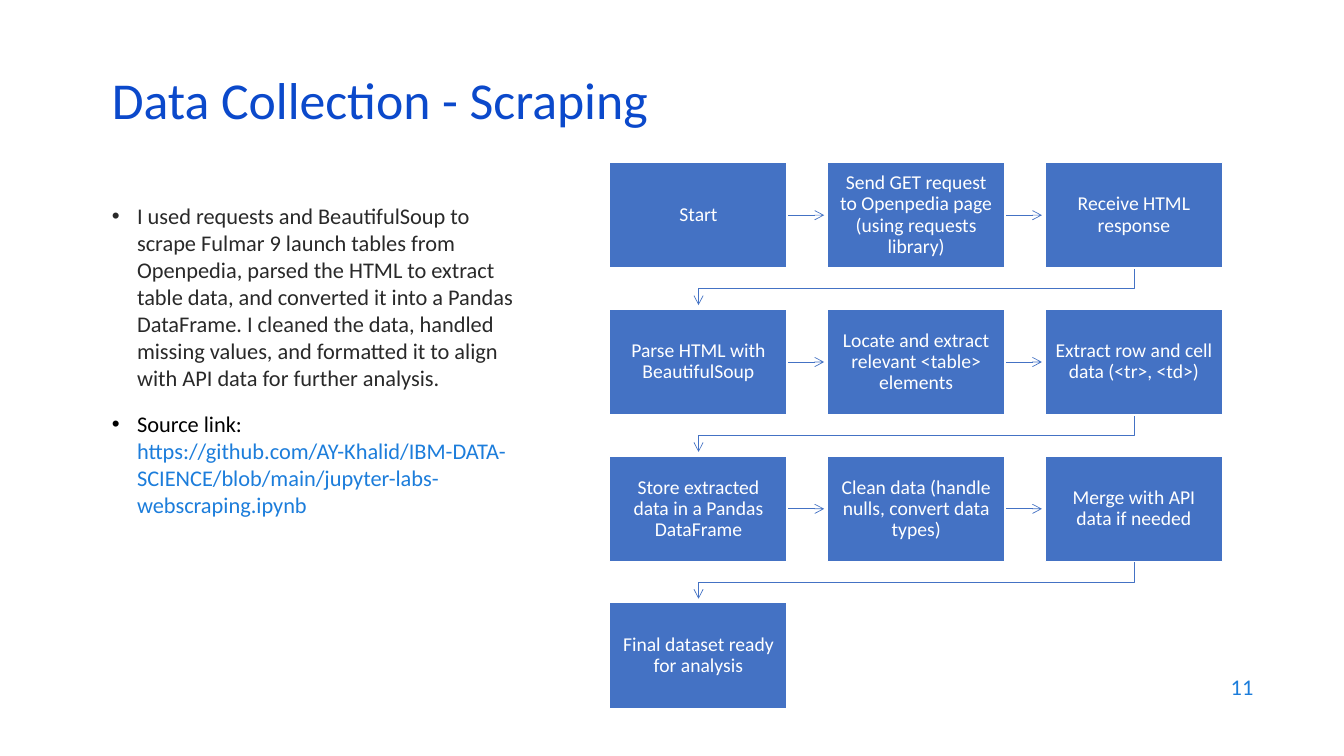
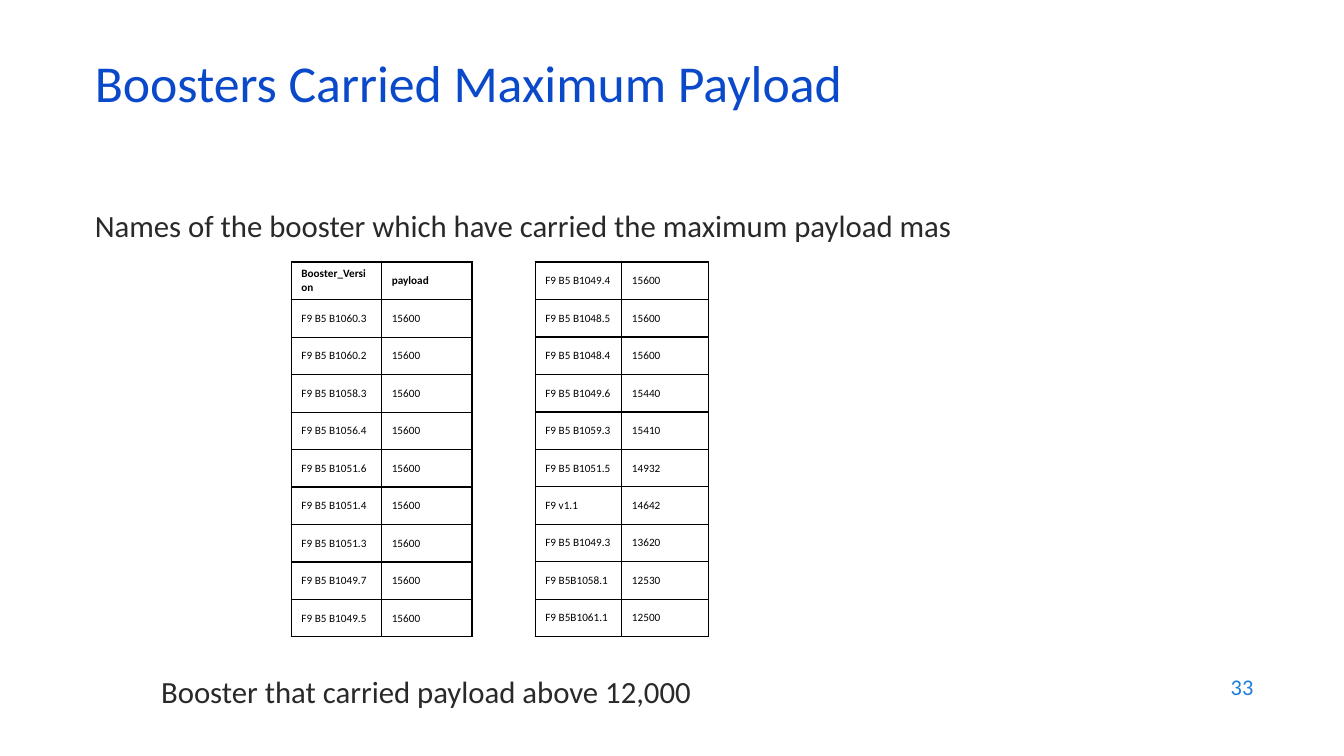
import pptx
import pptx.dml.color
import pptx.enum.shapes
import pptx.enum.text
import pptx.oxml
import pptx.oxml.ns
import pptx.util

RGB = pptx.dml.color.RGBColor
Pt = pptx.util.Pt
ALIGN = pptx.enum.text.PP_ALIGN
ANCHOR = pptx.enum.text.MSO_ANCHOR
NS = pptx.oxml.ns.nsdecls("a")

TITLE_BLUE = RGB(0x0B, 0x49, 0xCB)
LINK_BLUE = RGB(0x1C, 0x7D, 0xDB)
FLOW_BLUE = RGB(0x44, 0x72, 0xC4)
INK = RGB(0x29, 0x29, 0x29)
BLACK = RGB(0, 0, 0)
WHITE = RGB(0xFF, 0xFF, 0xFF)

FONT = "Calibri"
CELL = pptx.util.Inches(1) / 6  # the slide is a grid of 80 columns and 45 rows
COLUMNS, ROWS = 80, 45


def grid(*cells):
    return [round(cell * CELL) for cell in cells]


class Deck:
    def __init__(self):
        self.file = pptx.Presentation()
        self.file.slide_width, self.file.slide_height = grid(COLUMNS, ROWS)
        self.slide = None

    def new_slide(self, title, left, top, number):
        self.slide = self.file.slides.add_slide(self.file.slide_layouts[1])
        heading = self.place(self.slide.shapes.title, left, top, 69, 3.6)
        self.set_text(heading, [title], 37, TITLE_BLUE, anchor=ANCHOR.MIDDLE, spacing=0.7)
        self.text([number], 57.2, 39.54, 18, 2.64, 16, LINK_BLUE,
                  align=ALIGN.RIGHT, anchor=ANCHOR.MIDDLE)

    def place(self, shape, *box):
        shape.left, shape.top, shape.width, shape.height = grid(*box)
        return shape.text_frame

    def style(self, font, size, color, bold=False):
        font.name, font.size, font.bold = FONT, Pt(size), bold
        font.color.rgb = color

    def set_text(self, frame, paragraphs, size, color, align=ALIGN.LEFT,
                 anchor=ANCHOR.TOP, spacing=1.0, bullet=False):
        """Fill a frame; a paragraph is a string or a list of (text, colour) runs."""
        frame.word_wrap = True
        frame.auto_size = pptx.enum.text.MSO_AUTO_SIZE.NONE
        frame.vertical_anchor = anchor
        for index, content in enumerate(paragraphs):
            paragraph = frame.add_paragraph() if index else frame.paragraphs[0]
            self.set_bullet(paragraph, bullet)
            paragraph.alignment = align
            paragraph.line_spacing = spacing
            paragraph.space_before = Pt(14 if index else 0)
            runs = [(content, color)] if isinstance(content, str) else content
            for words, run_color in runs:
                run = paragraph.add_run()
                run.text = words
                self.style(run.font, size, run_color)

    def set_bullet(self, paragraph, shown):
        properties = paragraph._p.get_or_add_pPr()
        indent = pptx.util.Inches(0.25) if shown else 0
        properties.set("marL", str(indent))
        properties.set("indent", str(-indent))
        mark = '<a:buChar %s char="•"/>' if shown else "<a:buNone %s/>"
        properties.append(pptx.oxml.parse_xml(mark % NS))

    def body(self, paragraphs, left, top, width, height, size, bullet=False):
        frame = self.place(self.slide.placeholders[1], left, top, width, height)
        self.set_text(frame, paragraphs, size, INK, bullet=bullet)

    def text(self, paragraphs, left, top, width, height, size, color, **options):
        box = self.slide.shapes.add_textbox(*grid(left, top, width, height))
        self.set_text(box.text_frame, paragraphs, size, color, **options)

    def step(self, words, left, top, width, height):
        box = self.slide.shapes.add_shape(
            pptx.enum.shapes.MSO_SHAPE.RECTANGLE, *grid(left, top, width, height))
        box.shadow.inherit = False
        box.fill.solid()
        box.fill.fore_color.rgb = FLOW_BLUE
        box.line.color.rgb = WHITE
        box.line.width = Pt(1)
        frame = box.text_frame
        frame.margin_left = frame.margin_right = pptx.util.Inches(0.09)
        frame.margin_top = frame.margin_bottom = pptx.util.Inches(0.09)
        self.set_text(frame, [words], 14, WHITE, ALIGN.CENTER, ANCHOR.MIDDLE, 0.9)

    def arrow(self, *points):
        """Draw an arrow through (column, row) points; bends make it an outline."""
        start, *others = [grid(*point) for point in points]
        if len(others) == 1:
            arrow = self.slide.shapes.add_connector(
                pptx.enum.shapes.MSO_CONNECTOR.STRAIGHT, *start, *others[0])
            arrow._element.spPr.append(pptx.oxml.parse_xml("<a:effectLst %s/>" % NS))
        else:
            outline = self.slide.shapes.build_freeform(*start)
            outline.add_line_segments(others, close=False)
            arrow = outline.convert_to_shape()
            arrow.fill.background()
            arrow.shadow.inherit = False
        arrow.line.color.rgb = FLOW_BLUE
        arrow.line.width = Pt(0.5)
        arrow._element.spPr.get_or_add_ln().append(
            pptx.oxml.parse_xml('<a:tailEnd %s type="arrow"/>' % NS))

    def flow(self, steps, left, top, per_row=3):
        """Lay steps out row by row and join each one to the next."""
        width, height, pitch_x, pitch_y, reach = 10.56, 6.3, 12.96, 8.74, 2.2
        for index, words in enumerate(steps):
            row, column = divmod(index, per_row)
            x, y = left + column * pitch_x, top + row * pitch_y
            if index < len(steps) - 1:
                if column < per_row - 1:
                    middle = y + height / 2
                    self.arrow((x + width, middle), (x + width + reach, middle))
                else:
                    center, first = x + width / 2, left + width / 2
                    bottom = y + height
                    bend = bottom + (pitch_y - height) / 2
                    self.arrow((center, bottom), (center, bend),
                               (first, bend), (first, bottom + reach))
            self.step(words, x, y, width, height)

    def table(self, records, left, top, column_width, row_height, header=False):
        count = len(records[0])
        frame = self.slide.shapes.add_table(
            len(records), count,
            *grid(left, top, column_width * count, row_height * len(records)))
        table = frame.table
        table.first_row = table.horz_banding = False
        for row, record in enumerate(records):
            for column, value in enumerate(record):
                cell = table.cell(row, column)
                cell.text = value
                cell.vertical_anchor = ANCHOR.MIDDLE
                cell.fill.background()
                self.style(cell.text_frame.paragraphs[0].runs[0].font, 8, BLACK,
                           bold=header and row == 0)
                self.border(cell)

    def border(self, cell):
        properties = cell._tc.get_or_add_tcPr()
        for index, side in enumerate("LRTB"):
            properties.insert(index, pptx.oxml.parse_xml(
                f'<a:ln{side} {NS} w="{Pt(1)}"><a:solidFill>'
                f'<a:srgbClr val="{BLACK}"/></a:solidFill></a:ln{side}>'))


SCRAPING_STEPS = [
    "Start",
    "Send GET request to Openpedia page (using requests library)",
    "Receive HTML response",
    "Parse HTML with BeautifulSoup",
    "Locate and extract relevant <table> elements",
    "Extract row and cell data (<tr>, <td>)",
    "Store extracted data in a Pandas DataFrame",
    "Clean data (handle nulls, convert data types)",
    "Merge with API data if needed",
    "Final dataset ready for analysis",
]

SCRAPING_NOTES = [
    "I used requests and BeautifulSoup to scrape Fulmar 9 launch tables from "
    "Openpedia, parsed the HTML to extract table data, and converted it into a "
    "Pandas DataFrame. I cleaned the data, handled missing values, and formatted "
    "it to align with API data for further analysis.",
    [("Source link:", BLACK),
     (" https://github.com/AY-Khalid/IBM-DATA-SCIENCE/blob/main/"
      "jupyter-labs-webscraping.ipynb", LINK_BLUE)],
]

HEAVIEST = [("Booster_Version", "payload")] + [
    (f"F9 B5 {booster}", "15600") for booster in (
        "B1060.3", "B1060.2", "B1058.3", "B1056.4", "B1051.6",
        "B1051.4", "B1051.3", "B1049.7", "B1049.5")]

NEXT_HEAVIEST = [
    ("F9 B5 B1049.4", "15600"),
    ("F9 B5 B1048.5", "15600"),
    ("F9 B5 B1048.4", "15600"),
    ("F9 B5 B1049.6", "15440"),
    ("F9 B5 B1059.3", "15410"),
    ("F9 B5 B1051.5", "14932"),
    ("F9 v1.1", "14642"),
    ("F9 B5 B1049.3", "13620"),
    ("F9 B5B1058.1", "12530"),
    ("F9 B5B1061.1", "12500"),
]


def main():
    deck = Deck()

    deck.new_slide("Data Collection - Scraping", 6.06, 4.56, "11")
    deck.body(SCRAPING_NOTES, 6.06, 11.76, 25.8, 25, 16, bullet=True)
    deck.flow(SCRAPING_STEPS, 36.3, 9.66)

    deck.new_slide("Boosters Carried Maximum Payload", 5.04, 3.54, "33")
    deck.body(["Names of the booster which have carried the maximum payload mas"],
              5.04, 12, 64, 7.25, 22)
    deck.table(HEAVIEST, 17.34, 15.6, 5.38, 2.23, header=True)
    deck.table(NEXT_HEAVIEST, 31.86, 15.6, 5.16, 2.23)
    deck.text(["Booster that carried payload above 12,000"],
              9, 39.72, 38.1, 4.2, 22, INK)

    deck.file.save("out.pptx")


if __name__ == "__main__":
    main()
